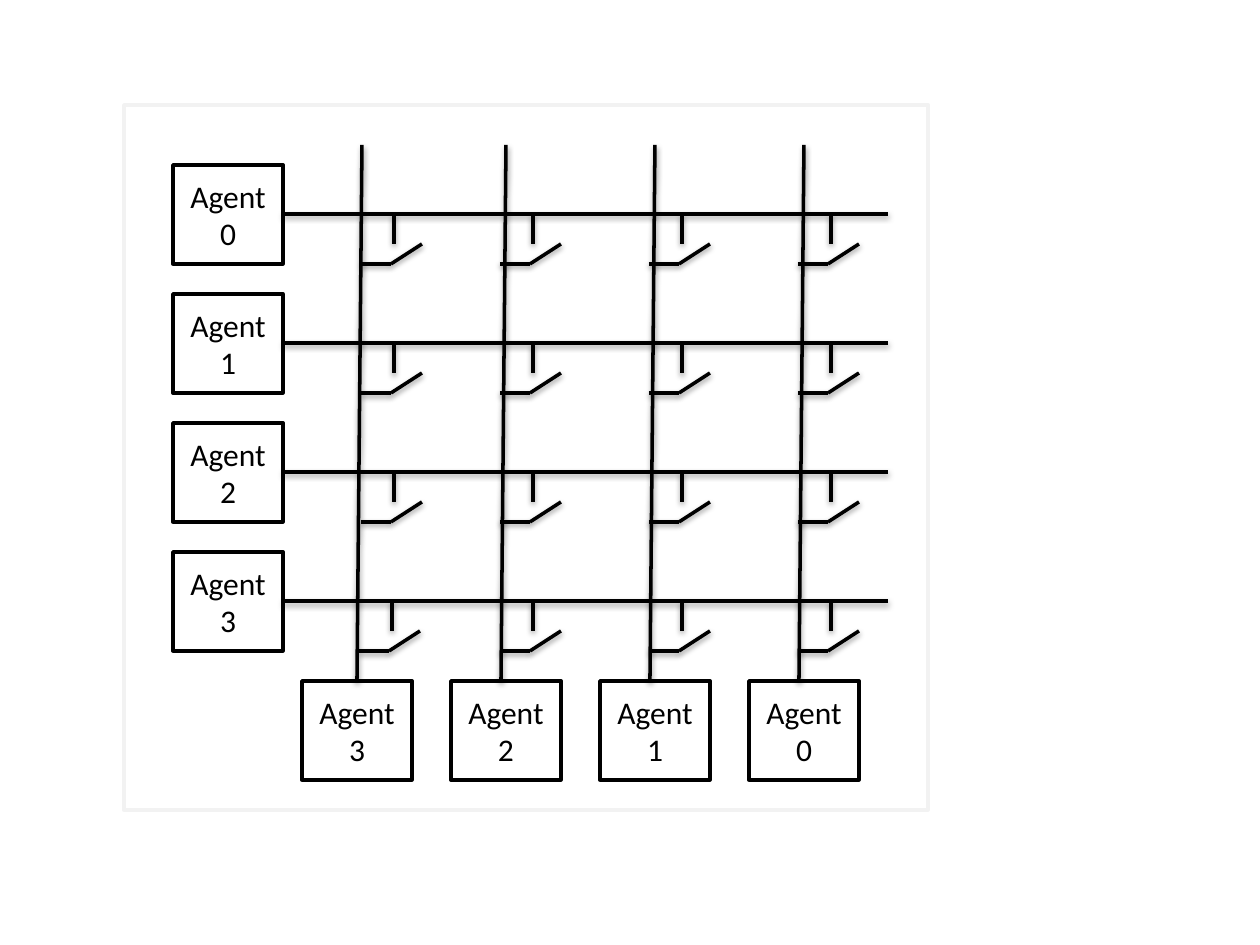
"""Build a crossbar slide: four row agents, four column agents and a switch at each crossing."""
from lxml import etree
from pptx import Presentation, util as u
from pptx.dml.color import RGBColor
from pptx.enum import shapes, text
from pptx.oxml import parse_xml

PX = 914400 // 126
BLACK, WHITE, PALE = "000000", "FFFFFF", "F2F2F2"
SHADOW = (
    '<a:effectLst xmlns:a="http://schemas.openxmlformats.org/drawingml/2006/main">'
    '<a:outerShdw blurRad="40000" dist="20000" dir="5400000" rotWithShape="0">'
    '<a:srgbClr val="000000"><a:alpha val="38000"/></a:srgbClr>'
    '</a:outerShdw></a:effectLst>'
)

deck = Presentation()
deck.slide_width, deck.slide_height = u.Inches(10), u.Inches(7.5)
slide = deck.slides.add_slide(deck.slide_layouts[6])


def add_box(x, y, width, height, edge, label=""):
    box = slide.shapes.add_shape(
        shapes.MSO_SHAPE.RECTANGLE, x * PX, y * PX, width * PX, height * PX)
    box.shadow.inherit = False
    box.fill.solid()
    box.fill.fore_color.rgb = RGBColor.from_string(WHITE)
    box.line.color.rgb = RGBColor.from_string(edge)
    box.line.width = u.Pt(2)
    if label:
        frame = box.text_frame
        frame.text = label
        frame.word_wrap = True
        frame.vertical_anchor = text.MSO_ANCHOR.MIDDLE
        frame.paragraphs[0].alignment = text.PP_ALIGN.CENTER
        font = frame.paragraphs[0].runs[0].font
        font.name, font.size = "Calibri", u.Pt(18)
        font.color.rgb = RGBColor.from_string(BLACK)


def add_wire(x1, y1, x2, y2):
    wire = slide.shapes.add_connector(
        shapes.MSO_CONNECTOR.STRAIGHT, x1 * PX, y1 * PX, x2 * PX, y2 * PX)
    wire.line.color.rgb = RGBColor.from_string(BLACK)
    wire.line.width = u.Pt(2)
    wire._element.spPr.append(parse_xml(SHADOW))


COUNT = 4
ROW_STEP, COLUMN_STEP = 129, 149
AGENT_WIDTH, AGENT_HEIGHT = 110, 99
ROW_LEFT, ROW_TOP = 173, 165
COLUMN_LEFT, COLUMN_TOP = 302, 681
row_wires = [214 + ROW_STEP * row for row in range(COUNT)]
column_wires = [357, 501, 650, 799]
switch_lefts = [361, 500, 649, 798]

add_box(124, 105, 804, 705, PALE)
for row in range(COUNT):
    add_box(ROW_LEFT, ROW_TOP + ROW_STEP * row, AGENT_WIDTH, AGENT_HEIGHT,
            BLACK, f"Agent {row}")
for column in range(COUNT):
    add_box(COLUMN_LEFT + COLUMN_STEP * column, COLUMN_TOP, AGENT_WIDTH, AGENT_HEIGHT,
            BLACK, f"Agent {COUNT - 1 - column}")

for y in row_wires:
    add_wire(ROW_LEFT + AGENT_WIDTH, y, 888, y)
for x in column_wires:
    add_wire(x, COLUMN_TOP, x + 5, 145)

for row, y in enumerate(row_wires):
    for column, left in enumerate(switch_lefts):
        x = left - 2 if (row, column) == (COUNT - 1, 0) else left
        add_wire(x + 33, y, x + 33, y + 30)
        add_wire(x, y + 50, x + 30, y + 50)
        add_wire(x + 30, y + 50, x + 61, y + 30)

deck.save("out.pptx")
